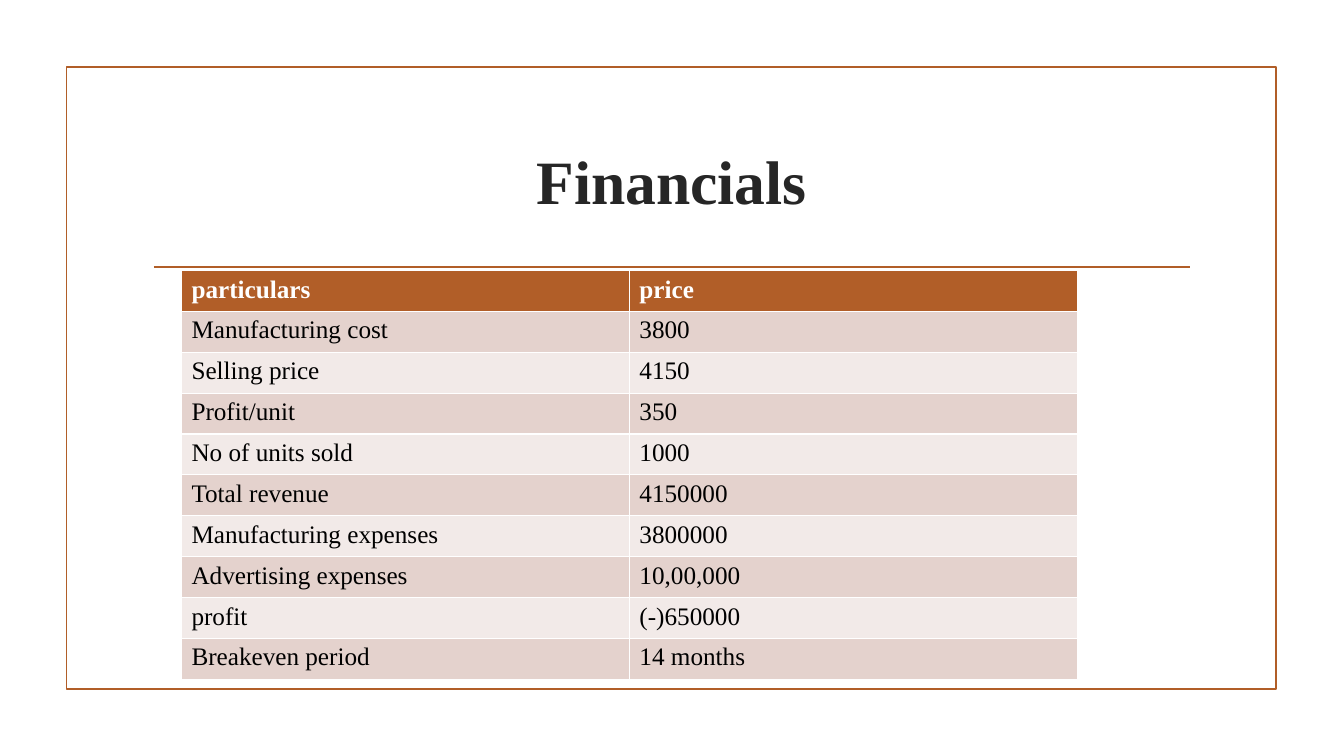
"""Build the Financials slide: a framed title above a table of particulars and prices."""
import pptx
import pptx.dml.color
import pptx.enum.shapes
import pptx.enum.text
import pptx.oxml.ns
import pptx.util
from lxml import etree

Pt = pptx.util.Pt
RUST = pptx.dml.color.RGBColor(0xB1, 0x5E, 0x28)
CHARCOAL = pptx.dml.color.RGBColor(0x26, 0x26, 0x26)
BLACK = pptx.dml.color.RGBColor(0x00, 0x00, 0x00)
WHITE = pptx.dml.color.RGBColor(0xFF, 0xFF, 0xFF)
ROSE = pptx.dml.color.RGBColor(0xE4, 0xD2, 0xCD)
PALE_ROSE = pptx.dml.color.RGBColor(0xF2, 0xEA, 0xE8)
FONT = "Times New Roman"
LINE_WIDTH = 1.25

FINANCIALS = [
    ("particulars", "price"),
    ("Manufacturing cost", "3800"),
    ("Selling price", "4150"),
    ("Profit/unit", "350"),
    ("No of units sold", "1000"),
    ("Total revenue", "4150000"),
    ("Manufacturing expenses", "3800000"),
    ("Advertising expenses", "10,00,000"),
    ("profit", "(-)650000"),
    ("Breakeven period", "14 months"),
]


def style_paragraph(paragraph, size, color, bold):
    """Set the font of a whole paragraph."""
    paragraph.font.name = FONT
    paragraph.font.size = Pt(size)
    paragraph.font.bold = bold
    paragraph.font.color.rgb = color


def add_frame(slide, left, top, width, height):
    """Draw the outlined frame and the rule under the title."""
    frame = slide.shapes.add_shape(
        pptx.enum.shapes.MSO_SHAPE.RECTANGLE, Pt(left), Pt(top), Pt(width), Pt(height))
    frame.shadow.inherit = False
    frame.fill.background()
    rule_top = top + 142.8
    rule = slide.shapes.add_connector(
        pptx.enum.shapes.MSO_CONNECTOR.STRAIGHT,
        Pt(left + 62.5), Pt(rule_top), Pt(left + width - 61.5), Pt(rule_top))
    properties = rule.element.find(pptx.oxml.ns.qn("p:spPr"))
    for shape in (frame, rule):
        shape.line.color.rgb = RUST
        shape.line.width = Pt(LINE_WIDTH)
    etree.SubElement(properties, pptx.oxml.ns.qn("a:effectLst"))


def add_title(slide, left, top, width, height):
    """Write the centred slide title."""
    title = slide.shapes.add_textbox(Pt(left), Pt(top), Pt(width), Pt(height))
    text_frame = title.text_frame
    text_frame.word_wrap = True
    text_frame.vertical_anchor = pptx.enum.text.MSO_ANCHOR.MIDDLE
    paragraph = text_frame.paragraphs[0]
    paragraph.text = "Financials"
    paragraph.alignment = pptx.enum.text.PP_ALIGN.CENTER
    style_paragraph(paragraph, 44, CHARCOAL, True)


def add_financials_table(slide, left, top, width, height):
    """Fill the box with the table, a header above alternating rows."""
    table = slide.shapes.add_table(
        len(FINANCIALS), len(FINANCIALS[0]),
        Pt(left), Pt(top), Pt(width), Pt(height)).table
    for row_index, values in enumerate(FINANCIALS):
        is_header = row_index == 0
        band = ROSE if row_index % 2 else PALE_ROSE
        for column_index, value in enumerate(values):
            cell = table.cell(row_index, column_index)
            cell.fill.solid()
            cell.fill.fore_color.rgb = RUST if is_header else band
            paragraph = cell.text_frame.paragraphs[0]
            paragraph.text = value
            style_paragraph(paragraph, 18, WHITE if is_header else BLACK, is_header)


def main():
    """Create the presentation and save it."""
    presentation = pptx.Presentation()
    presentation.slide_width = Pt(960)
    presentation.slide_height = Pt(540)
    slide = presentation.slides.add_slide(presentation.slide_layouts[6])
    add_frame(slide, 47.5, 48, 864, 444)
    add_title(slide, 102, 77, 756, 103)
    add_financials_table(slide, 129.6, 193.2, 640, 292)
    presentation.save("out.pptx")


if __name__ == "__main__":
    main()
